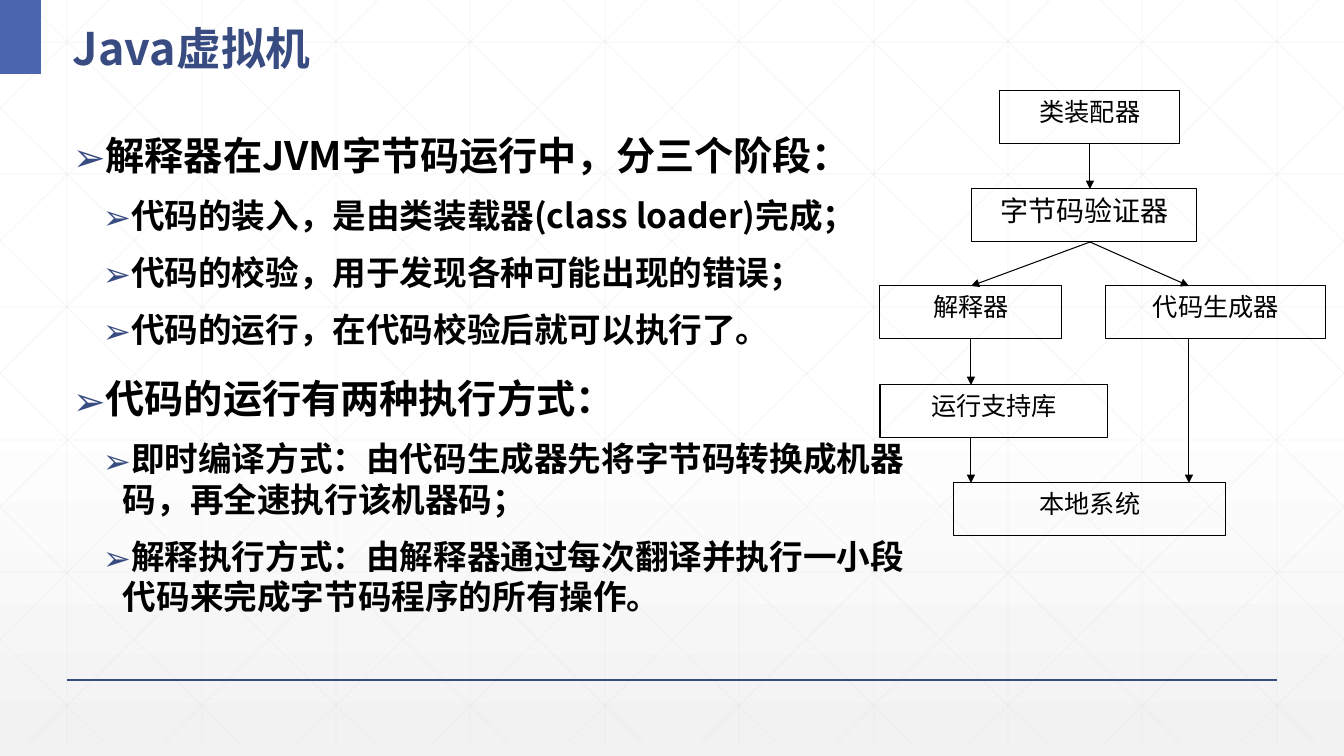
import pptx
import pptx.util
import pptx.dml.color
import pptx.enum.shapes
import pptx.enum.text
import pptx.oxml.ns
from lxml import etree

THEME = {
    "white": "FFFFFF", "fade": "F2F2F2", "grid": "D9D9D9", "accent": "4A66AC",
    "navy": "384C81", "black": "000000",
    "heading_font": "Noto Sans CJK SC", "diagram_font": "Times New Roman",
    "title": 32, "point": 28, "detail": 24, "box": 18, "big_box": 20,
}
PX = 914400 / 100.8
WIDTH, HEIGHT, GRID_BOTTOM = 1344, 756, 743
qn = pptx.oxml.ns.qn
rgb = pptx.dml.color.RGBColor.from_string


def add_line(x1, y1, x2, y2, color, points):
    ends = [round(v * PX) for v in (x1, y1, x2, y2)]
    c = s.shapes.add_connector(pptx.enum.shapes.MSO_CONNECTOR.STRAIGHT, *ends)
    c.line.color.rgb = rgb(THEME[color])
    c.line.width = pptx.util.Pt(points)
    etree.SubElement(c._element.spPr, qn("a:effectLst"))
    return c


def style_run(r, font, size, color, bold):
    r.font.name = font
    r.font.size = pptx.util.Pt(size)
    r.font.color.rgb = rgb(THEME[color])
    r.font.bold = bold
    if font == THEME["heading_font"]:
        etree.SubElement(r._r.get_or_add_rPr(), qn("a:ea"), typeface=font)


prs = pptx.Presentation()
prs.slide_width, prs.slide_height = round(WIDTH * PX), round(HEIGHT * PX)
s = prs.slides.add_slide(prs.slide_layouts[6])

fill = s.background.fill
fill.gradient()
fill.gradient_angle = 270
for stop, position, color in zip(fill.gradient_stops, (0.53, 1), ("white", "fade")):
    stop.position = position
    stop.color.rgb = rgb(THEME[color])

columns = [round(67.2 + 134.4 * i) for i in range(10)]
rows = [round(42 + 132.5 * i) for i in range(6)]
grid = [(x, 0, x, GRID_BOTTOM) for x in columns]
grid += [(0, y, WIDTH, y) for y in rows]
for i in range(-5, 10):
    top = round(25 + 134.4 * i)
    x1, x2 = max(top, 0), min(top + 752, WIDTH)
    y1, y2 = [round((x - top) * GRID_BOTTOM / 752) for x in (x1, x2)]
    grid += [(x1, y1, x2, y2), (WIDTH - x1, y1, WIDTH - x2, y2)]
for ends in grid:
    c = add_line(*ends, "grid", 0.5)
    color = c._element.spPr.find(".//" + qn("a:srgbClr"))
    etree.SubElement(color, qn("a:alpha"), val="25000")

add_line(67, 680, 1277, 680, "navy", 1)
corner = s.shapes.add_shape(pptx.enum.shapes.MSO_SHAPE.RECTANGLE,
                            0, 0, round(41 * PX), round(74 * PX))
corner.shadow.inherit = False
corner.fill.solid()
corner.fill.fore_color.rgb = rgb(THEME["accent"])
corner.line.fill.background()

title = s.shapes.add_textbox(*[round(v * PX) for v in (63, 0, 574, 74)])
tf = title.text_frame
tf.word_wrap = True
tf.vertical_anchor = pptx.enum.text.MSO_ANCHOR.TOP
tf.text = "Java虚拟机"
tf.paragraphs[0].line_spacing = 1.3
style_run(tf.paragraphs[0].runs[0], THEME["heading_font"], THEME["title"], "navy", True)

points = [
    (0, "解释器在JVM字节码运行中，分三个阶段："),
    (1, "代码的装入，是由类装载器(class loader)完成；"),
    (1, "代码的校验，用于发现各种可能出现的错误；"),
    (1, "代码的运行，在代码校验后就可以执行了。"),
    (0, "代码的运行有两种执行方式："),
    (1, "即时编译方式：由代码生成器先将字节码转换成机器码，再全速执行该机器码；"),
    (1, "解释执行方式：由解释器通过每次翻译并执行一小段代码来完成字节码程序的所有操作。"),
]
levels = [("point", 18, 25, -25), ("detail", 12, 50, -20)]
body = s.shapes.add_textbox(*[round(v * PX) for v in (63, 126, 876, 556)])
tf = body.text_frame
tf.word_wrap = True
tf.text = "\n".join(text for level, text in points)
for p, (level, text) in zip(tf.paragraphs, points):
    size, before, margin, indent = levels[level]
    p.level = level
    p.space_before = pptx.util.Pt(before)
    pPr = p._p.get_or_add_pPr()
    pPr.set("marL", str(round(margin * PX)))
    pPr.set("indent", str(round(indent * PX)))
    bullet_color = etree.SubElement(pPr, qn("a:buClr"))
    etree.SubElement(bullet_color, qn("a:srgbClr"), val=THEME["navy"])
    etree.SubElement(pPr, qn("a:buFont"), typeface=THEME["heading_font"])
    etree.SubElement(pPr, qn("a:buChar"), char="➢")
    style_run(p.runs[0], THEME["heading_font"], THEME[size], "black", True)

boxes = {}
for name, x, y, w, size in [
    ("类装配器", 1000, 91, 180, "box"),
    ("字节码验证器", 972, 189, 225, "big_box"),
    ("代码生成器", 1106, 286, 220, "box"),
    ("解释器", 880, 286, 182, "box"),
    ("运行支持库", 880, 385, 228, "box"),
    ("本地系统", 954, 483, 272, "box"),
]:
    box = s.shapes.add_shape(pptx.enum.shapes.MSO_SHAPE.RECTANGLE,
                             *[round(v * PX) for v in (x, y, w, 53)])
    box.shadow.inherit = False
    box.fill.background()
    box.line.color.rgb = rgb(THEME["black"])
    box.line.width = pptx.util.Pt(0.75)
    tf = box.text_frame
    tf.vertical_anchor = pptx.enum.text.MSO_ANCHOR.TOP
    tf.text = name
    tf.paragraphs[0].alignment = pptx.enum.text.PP_ALIGN.CENTER
    style_run(tf.paragraphs[0].runs[0], THEME["diagram_font"], THEME[size], "black", False)
    boxes[name] = box

for ends, source, target in [
    ((1090, 144, 1090, 189), "类装配器", None),
    ((1090, 242, 1189, 286), None, None),
    ((1090, 242, 971, 286), None, "解释器"),
    ((971, 339, 971, 385), "解释器", None),
    ((971, 438, 971, 483), None, None),
    ((1189, 339, 1189, 483), None, None),
]:
    arrow = add_line(*ends, "black", 0.75)
    etree.SubElement(arrow.line._get_or_add_ln(), qn("a:tailEnd"), type="triangle")
    if source:
        arrow.begin_connect(boxes[source], 2)
    if target:
        arrow.end_connect(boxes[target], 0)

prs.save("out.pptx")
